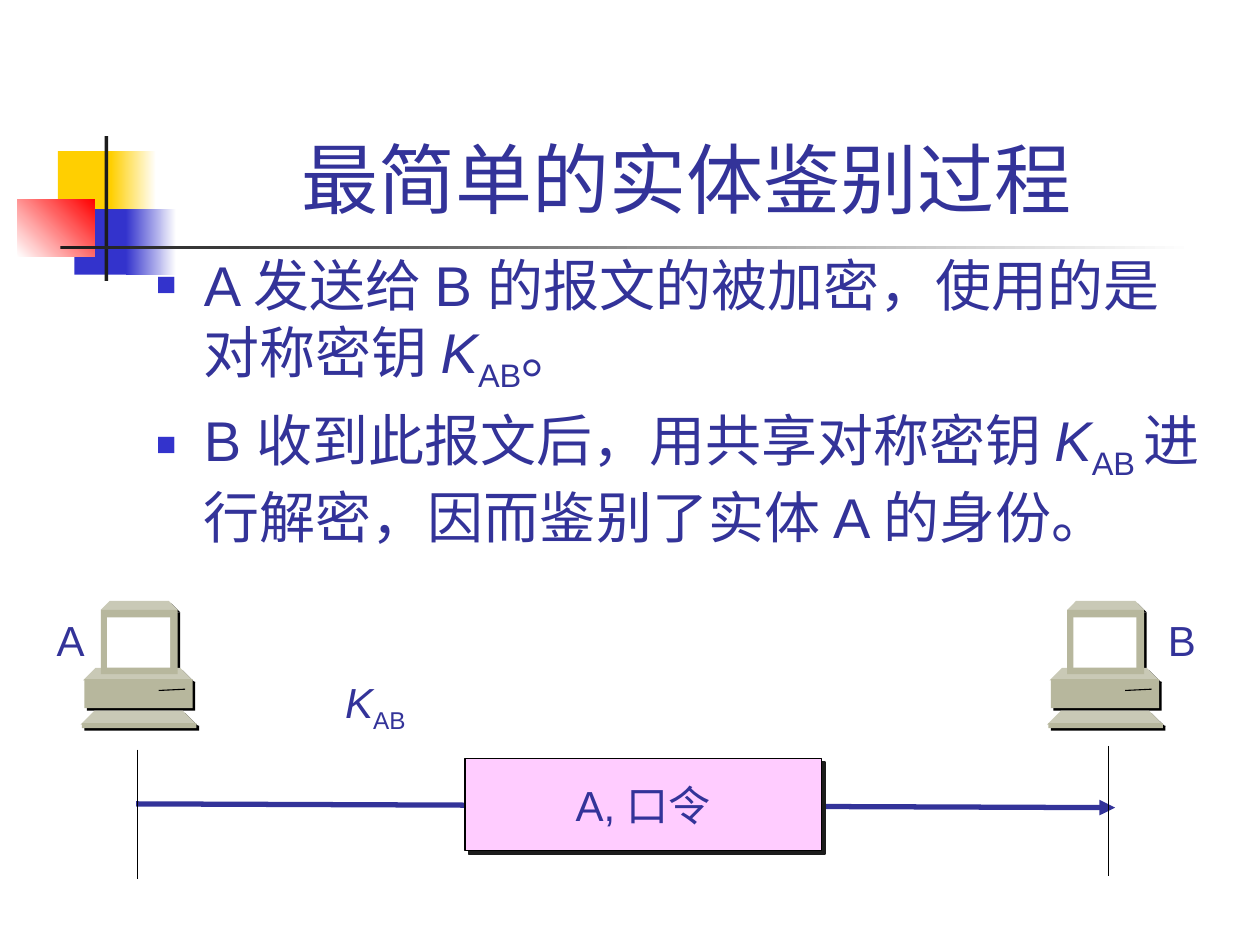
from dataclasses import dataclass
from typing import Any

from lxml import etree
from pptx import Presentation
from pptx.dml.color import RGBColor
from pptx.enum.shapes import MSO_CONNECTOR, MSO_SHAPE
from pptx.enum.text import MSO_ANCHOR, MSO_AUTO_SIZE, PP_ALIGN
from pptx.oxml import parse_xml
from pptx.oxml.ns import qn
from pptx.util import Inches, Pt

RECTANGLE = MSO_SHAPE.RECTANGLE
STRAIGHT = MSO_CONNECTOR.STRAIGHT
TOP, MIDDLE, BOTTOM = MSO_ANCHOR.TOP, MSO_ANCHOR.MIDDLE, MSO_ANCHOR.BOTTOM
GROW, FIXED = MSO_AUTO_SIZE.SHAPE_TO_FIT_TEXT, MSO_AUTO_SIZE.NONE
LEFT, CENTER = PP_ALIGN.LEFT, PP_ALIGN.CENTER

WHITE = RGBColor(0xFF, 0xFF, 0xFF)
BLACK = RGBColor(0x00, 0x00, 0x00)
CHARCOAL = RGBColor(0x1C, 0x1C, 0x1C)
YELLOW = RGBColor(0xFF, 0xCF, 0x01)
BLUE = RGBColor(0x33, 0x33, 0xCC)
RED = RGBColor(0xFF, 0x00, 0x00)
INDIGO = RGBColor(0x33, 0x33, 0x99)
PINK = RGBColor(0xFF, 0xCC, 0xFF)
CASE_LIGHT = RGBColor(0xC9, 0xC9, 0xB6)
CASE_DARK = RGBColor(0xB7, 0xB7, 0x9D)

DRAWING = "http://schemas.openxmlformats.org/drawingml/2006/main"
KEY = [("K", "italic"), ("AB", "subscript")]
COMPUTER_PARTS = [
    ("trapezoid", 0.02, 5.3, 0.87, 0.1, CASE_LIGHT),
    ("trapezoid", 0.16, 4.77, 0.61, 0.07, CASE_LIGHT),
    ("rectangle", 0.16, 4.84, 0.61, 0.51, CASE_DARK),
    ("rectangle", 0.03, 5.39, 0.86, 0.23, CASE_DARK),
    ("trapezoid", 0, 5.64, 0.92, 0.11, CASE_LIGHT),
    ("rectangle", 0.01, 5.74, 0.91, 0.04, CASE_DARK),
]


@dataclass
class SlideBuilder:
    """Draws styled elements on the current slide."""

    slide: Any
    font_name: str = "Arial"
    text_color: RGBColor = INDIGO

    def fill(self, shape, color):
        shape.shadow.inherit = False
        shape.fill.solid()
        shape.fill.fore_color.rgb = color
        shape.line.fill.background()

    def rectangle(self, left, top, width, height, color, shapes=None):
        shapes = self.slide.shapes if shapes is None else shapes
        shape = shapes.add_shape(
            RECTANGLE, Inches(left), Inches(top), Inches(width), Inches(height))
        self.fill(shape, color)
        return shape

    def gradient(self, left, top, width, height, start, end, angle=0):
        fill = self.rectangle(left, top, width, height, start).fill
        fill.gradient()
        fill.gradient_angle = angle
        for stop, color in zip(fill.gradient_stops, (start, end)):
            stop.color.rgb = color

    def trapezoid(self, left, top, width, height, color, shapes):
        right, bottom = left + width, top + height
        builder = shapes.build_freeform(Inches(left), Inches(bottom))
        corners = [(left + height, top), (right - height, top), (right, bottom)]
        builder.add_line_segments([(Inches(x), Inches(y)) for x, y in corners])
        self.fill(builder.convert_to_shape(), color)

    def line(self, start, end, color, weight, arrow=False, shapes=None):
        shapes = self.slide.shapes if shapes is None else shapes
        connector = shapes.add_connector(
            STRAIGHT, *(Inches(value) for value in (*start, *end)))
        connector.line.color.rgb = color
        connector.line.width = Pt(weight)
        if arrow:
            outline = connector.line._get_or_add_ln()
            etree.SubElement(outline, qn("a:tailEnd"), type="triangle")
        etree.SubElement(connector._element.spPr, qn("a:effectLst"))

    def set_text(self, shape, paragraphs, size, align=LEFT, anchor=TOP, wrap=False,
                 bulleted=False):
        frame = shape.text_frame
        frame.word_wrap = wrap
        frame.vertical_anchor = anchor
        for index, runs in enumerate(paragraphs):
            paragraph = frame.add_paragraph() if index else frame.paragraphs[0]
            paragraph.alignment = align
            if index:
                paragraph.space_before = Pt(size * 0.2)
            if bulleted:
                self.bullet(paragraph)
            paragraph.font.name = self.font_name
            paragraph.font.size = Pt(size)
            paragraph.font.color.rgb = self.text_color
            for text, style in runs:
                run = paragraph.add_run()
                run.text = text
                if style == "italic":
                    run.font.italic = True
                elif style == "subscript":
                    run._r.get_or_add_rPr().set("baseline", "-25000")

    def bullet(self, paragraph):
        properties = paragraph._p.get_or_add_pPr()
        properties.set("marL", str(Inches(0.38)))
        properties.set("indent", str(Inches(-0.38)))
        color = etree.SubElement(properties, qn("a:buClr"))
        etree.SubElement(color, qn("a:srgbClr"), val=str(BLUE))
        etree.SubElement(properties, qn("a:buSzPct"), val="60000")
        etree.SubElement(properties, qn("a:buFont"), typeface=self.font_name)
        etree.SubElement(properties, qn("a:buChar"), char="■")

    def text(self, left, top, width, height, paragraphs, size, **options):
        box = self.slide.shapes.add_textbox(
            Inches(left), Inches(top), Inches(width), Inches(height))
        self.set_text(box, paragraphs, size, **options)
        box.text_frame.auto_size = FIXED if options.get("wrap") else GROW

    def message(self, left, top, width, height, text):
        shape = self.rectangle(left, top, width, height, PINK)
        shape.line.color.rgb = BLACK
        shape.line.width = Pt(0.75)
        effects = shape._element.spPr.find(qn("a:effectLst"))
        effects.append(parse_xml(
            f'<a:outerShdw xmlns:a="{DRAWING}" dist="{Pt(2.8)}" dir="2700000" '
            f'algn="ctr" rotWithShape="0"><a:srgbClr val="{CHARCOAL}"/></a:outerShdw>'))
        self.set_text(shape, [[(text, None)]], 24, align=CENTER, anchor=MIDDLE)

    def computer(self, left):
        shapes = self.slide.shapes.add_group_shape().shapes
        for offset, shadow in ((0.02, BLACK), (0, None)):
            for kind, x, y, width, height, color in COMPUTER_PARTS:
                draw = self.trapezoid if kind == "trapezoid" else self.rectangle
                draw(left + x + offset, y + offset, width, height,
                     shadow or color, shapes=shapes)
        self.rectangle(left + 0.21, 4.9, 0.5, 0.4, WHITE, shapes)
        self.line((left + 0.83, 5.47), (left + 0.62, 5.48), BLACK, 0.63, shapes=shapes)


def main():
    presentation = Presentation()
    presentation.slide_width, presentation.slide_height = Inches(10), Inches(7.5)
    builder = SlideBuilder(presentation.slides.add_slide(presentation.slide_layouts[6]))

    builder.rectangle(0.46, 1.2, 0.48, 0.52, YELLOW)
    builder.gradient(0.88, 1.2, 0.36, 0.52, YELLOW, WHITE)
    builder.rectangle(0.59, 1.66, 0.46, 0.52, BLUE)
    builder.gradient(1, 1.66, 0.4, 0.52, BLUE, WHITE)
    builder.gradient(0.14, 1.58, 0.61, 0.46, WHITE, RED, angle=45)
    builder.rectangle(0.83, 1.08, 0.03, 1.15, CHARCOAL)
    builder.gradient(0.48, 1.95, 9, 0.03, CHARCOAL, WHITE)

    builder.text(1.26, 0.23, 8.52, 1.6, [[("最简单的实体鉴别过程 ", None)]], 44,
                 align=CENTER, anchor=BOTTOM, wrap=True)
    builder.text(1.14, 1.94, 8.5, 4.5, [
        [("A 发送给 B 的报文的被加密，使用的是对称密钥 ", None), *KEY, ("。", None)],
        [("B 收到此报文后，用共享对称密钥 ", None), *KEY, (" ", "subscript"),
         ("进行解密，因而鉴别了实体 A 的身份。", None)],
    ], 32, wrap=True, bulleted=True)

    builder.line((1.08, 6.38), (8.85, 6.41), INDIGO, 3, arrow=True)
    for name, label_left, label_width, computer_left, line_x, line_top in (
            ("A", 0.35, 0.42, 0.64, 1.09, 5.95), ("B", 9.17, 0.43, 8.31, 8.8, 5.92)):
        builder.text(label_left, 4.83, label_width, 0.5, [[(name, None)]], 24)
        builder.computer(computer_left)
        builder.line((line_x, line_top), (line_x, line_top + 1.03), BLACK, 0.75)
    builder.message(3.69, 6.02, 2.83, 0.73, "A, 口令")
    builder.text(2.64, 5.32, 0.72, 0.5, [KEY], 24)
    presentation.save("out.pptx")


if __name__ == "__main__":
    main()
